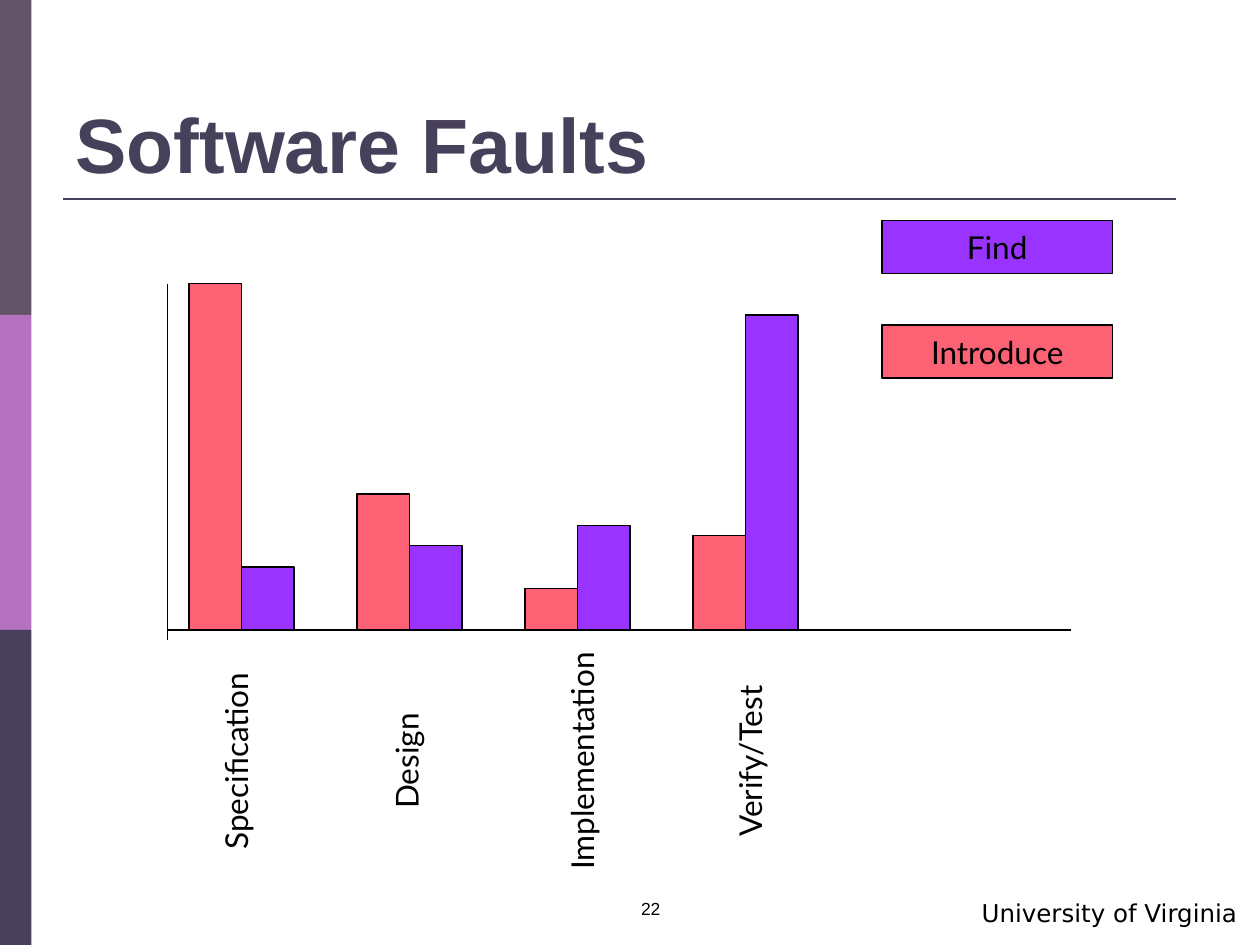
from dataclasses import dataclass

from lxml.etree import SubElement
from pptx import Presentation
from pptx.dml.color import RGBColor
from pptx.enum.shapes import MSO_CONNECTOR, MSO_SHAPE
from pptx.enum.text import MSO_ANCHOR, MSO_AUTO_SIZE, PP_ALIGN
from pptx.oxml.ns import qn
from pptx.util import Inches, Pt


@dataclass(frozen=True)
class Theme:
    ink: str = "000000"
    navy: str = "47405A"
    side: tuple = ("635369", "B671C1", "47405A")
    find: str = "9933FF"
    intro: str = "FC6274"
    head: str = "Arial"
    body: str = "Lato"
    foot: str = "DejaVu Sans"
    big: int = 44
    mid: int = 18
    note: int = 14
    tiny: int = 10
    thin: float = 0.75
    rule: float = 1.5


THEME = Theme()
FAULTS = [
    ("Specification", 2.75, 0.5, 0.37),
    ("Design", 1.08, 0.67, 0.39),
    ("Implementation", 0.33, 0.83, 0.45),
    ("Verify/Test", 0.75, 2.5, 0.45),
]


def write(frame, text, font=THEME.body, size=THEME.mid, color=THEME.ink,
          bold=False, align=PP_ALIGN.CENTER, anchor=MSO_ANCHOR.TOP, wrap=True):
    frame.auto_size = MSO_AUTO_SIZE.NONE
    frame.word_wrap = wrap
    frame.vertical_anchor = anchor
    para = frame.paragraphs[0]
    para.alignment = align
    run = para.add_run()
    run.text = text
    run.font.name = font
    run.font.size = Pt(size)
    run.font.bold = bold
    run.font.color.rgb = RGBColor.from_string(color)


def add_text(slide, box, text, turn=0, **style):
    label = slide.shapes.add_textbox(*map(Inches, box))
    label.rotation = turn
    write(label.text_frame, text, **style)


def add_block(slide, box, fill, edge=None):
    block = slide.shapes.add_shape(MSO_SHAPE.RECTANGLE, *map(Inches, box))
    block.shadow.inherit = False
    block.fill.solid()
    block.fill.fore_color.rgb = RGBColor.from_string(fill)
    if edge:
        block.line.color.rgb = RGBColor.from_string(edge)
        block.line.width = Pt(THEME.thin)
    else:
        block.line.fill.background()
    return block


def add_line(slide, ends, color=THEME.ink, width=THEME.thin):
    line = slide.shapes.add_connector(MSO_CONNECTOR.STRAIGHT, *map(Inches, ends))
    line.line.color.rgb = RGBColor.from_string(color)
    line.line.width = Pt(width)
    SubElement(line._element.spPr, qn("a:effectLst"))


def add_side(slide, box):
    left, top, width, height = box
    step = height / len(THEME.side)
    for i, fill in enumerate(THEME.side):
        add_block(slide, (left, top + i * step, width, step), fill)


def add_head(slide, box, text):
    left, top, width, height = box
    title = slide.shapes.title
    title.left, title.top, title.width, title.height = map(Inches, box)
    write(title.text_frame, text, font=THEME.head, size=THEME.big,
          color=THEME.navy, bold=True, align=PP_ALIGN.LEFT,
          anchor=MSO_ANCHOR.BOTTOM)
    base = top + height + 0.03
    add_line(slide, (left, base, left + 8.83, base), THEME.navy, THEME.rule)


def add_bars(slide, box):
    left, top, width, height = box
    base = top + height
    first, pitch, bar = left + 0.17, 4 / 3, 5 / 12
    long, tall = 2.08, 0.4
    add_line(slide, (left, top, left, base + 0.08))
    add_line(slide, (left, base, left + width, base))
    for i, (name, intro, find, mid) in enumerate(FAULTS):
        x = first + i * pitch
        add_block(slide, (x + bar, base - find, bar, find), THEME.find, THEME.ink)
        add_block(slide, (x, base - intro, bar, intro), THEME.intro, THEME.ink)
        add_text(slide, (x + mid - long / 2, base + 0.84, long, tall), name, turn=270)


def add_key(slide, box):
    left, top, width, height = box
    tall = 0.42
    items = [("Find", THEME.find), ("Introduce", THEME.intro)]
    for i, (name, fill) in enumerate(items):
        y = top + i * (height - tall)
        block = add_block(slide, (left, y, width, tall), fill, THEME.ink)
        write(block.text_frame, name, anchor=MSO_ANCHOR.MIDDLE, wrap=False)


def add_foot(slide, box):
    left, top, width, height = box
    add_text(slide, (left, top, 0.67, height), "22", font=THEME.head,
             size=THEME.tiny, align=PP_ALIGN.RIGHT)
    add_text(slide, (left + width - 4, top, 4, height), "University of Virginia",
             font=THEME.foot, size=THEME.note, align=PP_ALIGN.RIGHT)


def main():
    deck = Presentation()
    deck.slide_width, deck.slide_height = Inches(10), Inches(7.5)
    slide = deck.slides.add_slide(deck.slide_layouts[5])
    add_side(slide, (0, 0, 0.25, 7.5))
    add_head(slide, (0.5, 0.3, 9, 1.25), "Software Faults")
    add_bars(slide, (1.33, 2.25, 7.17, 2.75))
    add_key(slide, (7, 1.75, 1.83, 1.25))
    add_foot(slide, (4.67, 7.08, 5.25, 0.33))
    deck.save("out.pptx")


if __name__ == "__main__":
    main()
